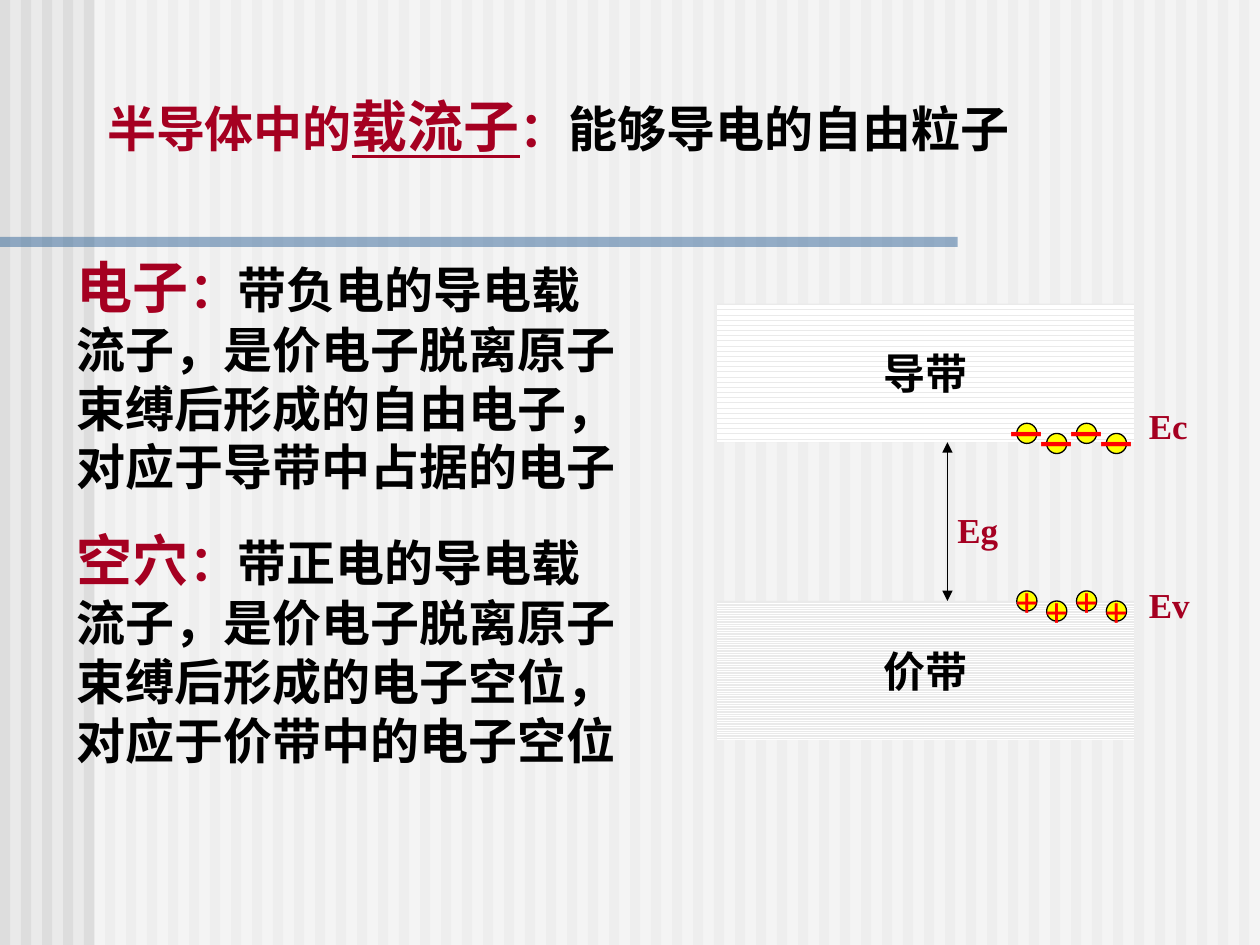
from lxml import etree
from pptx import Presentation
from pptx.dml.color import RGBColor
from pptx.enum import dml, shapes, text
from pptx.oxml.ns import qn
from pptx.util import Inches, Pt

RED = RGBColor(0xA5, 0x00, 0x21)
BLACK = RGBColor(0, 0, 0)
WHITE = RGBColor(0xFF, 0xFF, 0xFF)
GRAY = RGBColor(0xEA, 0xEA, 0xEA)
STRIPE = RGBColor(0xDD, 0xDD, 0xDD)
BLUE = RGBColor(0x33, 0x66, 0x99)
YELLOW = RGBColor(0xFF, 0xFF, 0x00)
SIGN = RGBColor(0xFF, 0, 0)
RECT = shapes.MSO_SHAPE.RECTANGLE
FONT = "Times New Roman"


def block(parent, kind, box, fill=None, alpha=None):
    """Add a borderless shape, with its opacity in percent."""
    shape = parent.add_shape(kind, *map(Inches, box))
    shape.shadow.inherit = False
    shape.line.fill.background()
    if fill is not None:
        shape.fill.solid()
        shape.fill.fore_color.rgb = fill
    if alpha:
        color = shape._element.spPr.find(".//" + qn("a:srgbClr"))
        etree.SubElement(color, qn("a:alpha"), val=str(alpha * 1000))
    return shape


def write(para, parts):
    """Fill a paragraph with bold runs of (words, size, colour)."""
    for words, size, color in parts:
        run = para.add_run()
        run.text = words
        run.font.name, run.font.size, run.font.bold = FONT, Pt(size), True
        run.font.color.rgb = color


prs = Presentation()
prs.slide_width, prs.slide_height = Inches(10), Inches(7.5)
slide = prs.slides.add_slide(prs.slide_layouts[1])
slide.background.fill.solid()
slide.background.fill.fore_color.rgb = GRAY
tree = slide.shapes

# Striped backdrop
group = tree.add_group_shape()
for i in range(60):
    block(group.shapes, RECT, (i / 6, 0, 0.08, 7.5), STRIPE)
block(group.shapes, RECT, (0.75, 0, 9.25, 7.5), WHITE, 50)
block(tree, RECT, (0, 1.88, 7.6, 0.08), BLUE, 50)

# Title and definitions
title, body = tree.title, slide.placeholders[1]
for holder, box in ((title, (0.75, 0.68, 7.95, 0.63)),
                    (body, (0.51, 1.95, 4.49, 4.24))):
    holder.left, holder.top, holder.width, holder.height = map(Inches, box)
    frame = holder.text_frame
    frame.word_wrap = True
    frame.auto_size = text.MSO_AUTO_SIZE.NONE
    frame.vertical_anchor = text.MSO_ANCHOR.TOP
    tree._spTree.append(holder._element)  # in front of the backdrop

head = title.text_frame.paragraphs[0]
head.alignment = text.PP_ALIGN.LEFT
write(head, [("半导体中的", 28, RED), ("载流子", 32, RED),
             ("：", 28, RED), ("能够导电的自由粒子", 28, BLACK)])
head.runs[1].font.underline = True

terms = [
    ("电子", "带负电的导电载流子，是价电子脱离原子束缚后形成的自由电子，对应于导带中占据的电子"),
    ("空穴", "带正电的导电载流子，是价电子脱离原子束缚后形成的电子空位，对应于价带中的电子空位"),
]
for i, (term, words) in enumerate(terms):
    frame = body.text_frame
    para = frame.add_paragraph() if i else frame.paragraphs[0]
    props = para._p.get_or_add_pPr()
    props.set("marL", "0")
    props.set("indent", "0")
    etree.SubElement(props, qn("a:buNone"))
    para.space_before = Pt(17 * i)
    write(para, [(term, 32, RED), ("：", 28, RED), (words, 28, BLACK)])

# Energy bands
for name, top, pattern in (("导带", 2.41, dml.MSO_PATTERN.DARK_HORIZONTAL),
                           ("价带", 4.77, dml.MSO_PATTERN.LIGHT_HORIZONTAL)):
    band = block(tree, RECT, (5.69, top, 3.31, 1.1))
    band.fill.patterned()
    band.fill.pattern = pattern
    band.fill.fore_color.rgb, band.fill.back_color.rgb = WHITE, GRAY
    frame = band.text_frame
    frame.word_wrap = False
    frame.vertical_anchor = text.MSO_ANCHOR.MIDDLE
    frame.paragraphs[0].alignment = text.PP_ALIGN.CENTER
    write(frame.paragraphs[0], [(name, 24, BLACK)])

for name, left, top in (("Eg", 7.5, 3.99), ("Ec", 9.02, 3.16), ("Ev", 9.02, 4.58)):
    label = tree.add_textbox(*map(Inches, (left, top, 0.53, 0.43)))
    label.text_frame.word_wrap = False
    write(label.text_frame.paragraphs[0], [(name, 20, RED)])

# Band gap arrow
gap = tree.add_connector(shapes.MSO_CONNECTOR.STRAIGHT,
                         *map(Inches, (7.52, 3.51, 7.52, 4.77)))
gap.line.color.rgb, gap.line.width = BLACK, Pt(0.75)
for end in ("a:headEnd", "a:tailEnd"):
    etree.SubElement(gap.line._get_or_add_ln(), qn(end), type="triangle")
etree.SubElement(gap._element.spPr, qn("a:effectLst"))

# Holes and electrons
for sign, top in (("+", 4.69), ("－", 3.36)):
    for i in range(4):
        box = (8.07 + 0.237 * i, top + 0.08 * (i % 2), 0.16, 0.16)
        dot = block(tree, shapes.MSO_SHAPE.OVAL, box, YELLOW)
        dot.line.color.rgb, dot.line.width = BLACK, Pt(0.75)
        frame = dot.text_frame
        frame.word_wrap = False
        frame.vertical_anchor = text.MSO_ANCHOR.MIDDLE
        frame.paragraphs[0].alignment = text.PP_ALIGN.CENTER
        write(frame.paragraphs[0], [(sign, 24, SIGN)])

prs.save("out.pptx")
